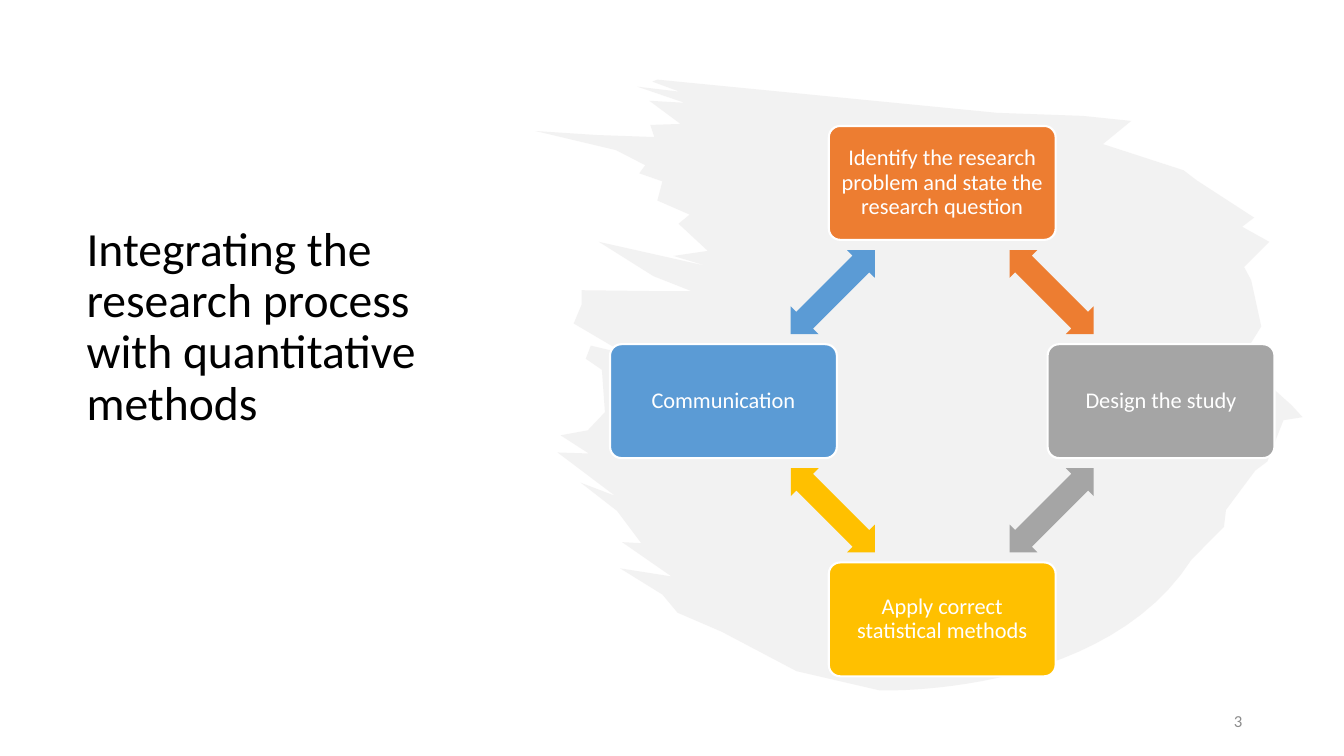
from dataclasses import dataclass
from math import cos, pi, sin

from lxml.etree import SubElement
from pptx import Presentation
from pptx.dml.color import RGBColor as RGB
from pptx.enum.shapes import MSO_SHAPE as SHAPE
from pptx.enum.text import MSO_ANCHOR as ANCHOR, PP_ALIGN as ALIGN
from pptx.oxml.ns import qn
from pptx.util import Inches, Pt


@dataclass(frozen=True)
class Theme:
    font: str = "Calibri"
    title_size: int = 34
    step_size: int = 16
    number_size: int = 12
    ink: str = "000000"
    white: str = "FFFFFF"
    number: str = "8C8C8C"
    brush: str = "E7E6E6"
    brush_alpha: int = 50


@dataclass(frozen=True)
class Box:
    left: float
    top: float
    width: float
    height: float

    def lengths(self):
        return [Inches(v) for v in (self.left, self.top, self.width, self.height)]


THEME = Theme()

# Clockwise from the top
STEPS = [
    ("Identify the research problem and state the research question", "ED7D31"),
    ("Design the study", "A5A5A5"),
    ("Apply correct statistical methods", "FFC000"),
    ("Communication", "5B9BD5"),
]

# Brush stroke in inches from its corner: the right edge runs down to the
# start of the bottom sweep, the ragged left edge runs back up from its end
RIGHT_EDGE = [
    (1.21, 0), (4.58, 0.33), (5.43, 0.36), (5.91, 0.41), (5.63, 0.64), (6.43, 0.9),
    (6.56, 1.0), (7.13, 1.37), (7.01, 1.46), (7.28, 1.61), (7.03, 1.86), (7.1, 1.99),
    (7.2, 2.45), (7.02, 2.74), (7.21, 2.92), (7.3, 3.05), (7.5, 3.23), (7.61, 3.35),
    (7.42, 3.38), (7.26, 3.79), (7.14, 3.88), (6.85, 4.27), (6.83, 4.44),
]
BOTTOM_SWEEP = [(6.51, 4.76), (5.68, 6.06), (3.64, 6.07), (3.41, 6.06)]
LEFT_EDGE = [
    (2.59, 5.87), (1.85, 5.48), (1.41, 5.29), (1.26, 5.11), (0.84, 4.85), (1.35, 4.93),
    (0.86, 4.59), (1.05, 4.6), (0.81, 4.28), (0.45, 4.0), (0.79, 4.13), (0.22, 3.7),
    (0.53, 3.71), (0.25, 3.53), (0.52, 3.48), (0.69, 3.3), (0.66, 2.88), (0.5, 2.77),
    (0.55, 2.64), (0.89, 2.72), (0.38, 2.42), (0.46, 2.23), (0.46, 2.09), (1.3, 2.1),
    (1.55, 2.1), (1.17, 1.95), (0.63, 1.61), (1.7, 1.85), (1.37, 1.75), (1.71, 1.7),
    (1.42, 1.43), (1.53, 1.34), (1.21, 1.2), (1.26, 1.01), (1.03, 0.93), (1.09, 0.85),
    (0.8, 0.7), (0, 0.51), (0.61, 0.55), (1.18, 0.57), (1.14, 0.45), (1.44, 0.44),
    (1.13, 0.21), (1.48, 0.23), (1.01, 0.07), (1.43, 0.12), (1.16, 0.02),
]


def curve(start, first, second, end, samples=24):
    """Sample a cubic Bézier curve."""
    for step in range(samples + 1):
        t = step / samples
        u = 1 - t
        yield tuple(u**3 * a + 3 * u * u * t * b + 3 * u * t * t * c + t**3 * d
                    for a, b, c, d in zip(start, first, second, end))


def paint(shape, color, outline=None):
    shape.shadow.inherit = False
    shape.fill.solid()
    shape.fill.fore_color.rgb = RGB.from_string(color)
    if outline:
        shape.line.color.rgb = RGB.from_string(outline)
        shape.line.width = Pt(1.5)
    else:
        shape.line.fill.background()


def write(shape, text, size, color, align=ALIGN.LEFT, anchor=ANCHOR.MIDDLE, spacing=0.9):
    frame = shape.text_frame
    frame.word_wrap = True
    frame.vertical_anchor = anchor
    frame.text = text
    paragraph = frame.paragraphs[0]
    paragraph.alignment = align
    paragraph.line_spacing = spacing
    paragraph.font.name = THEME.font
    paragraph.font.size = Pt(size)
    paragraph.font.color.rgb = RGB.from_string(color)
    return frame


def add_brush_stroke(slide, box):
    outline = [*RIGHT_EDGE, *curve(*BOTTOM_SWEEP), *LEFT_EDGE]
    points = [(Inches(x), Inches(y)) for x, y in outline]
    builder = slide.shapes.build_freeform(*points[0])
    builder.add_line_segments(points[1:], close=True)
    stroke = builder.convert_to_shape(Inches(box.left), Inches(box.top))
    stroke.width, stroke.height = Inches(box.width), Inches(box.height)
    paint(stroke, THEME.brush)
    color = stroke.fill._xPr.find(qn("a:solidFill"))[0]
    SubElement(color, qn("a:alpha")).set("val", str(THEME.brush_alpha * 1000))


def add_title(slide, box):
    write(slide.shapes.add_textbox(*box.lengths()),
          "Integrating the research process with quantitative methods",
          THEME.title_size, THEME.ink, anchor=ANCHOR.BOTTOM)


def add_cycle(slide, box, step_width=2.25, step_height=1.13,
              arrow_length=1.18, arrow_width=0.39):
    """Place the steps on a ring, each followed by a double arrow to the next."""
    center_x, center_y = box.left + box.width / 2, box.top + box.height / 2
    radius_x, radius_y = (box.width - step_width) / 2, (box.height - step_height) / 2

    def add_centered(kind, x, y, width, height):
        spot = Box(x - width / 2, y - height / 2, width, height)
        return slide.shapes.add_shape(kind, *spot.lengths())

    turn = 2 * pi / len(STEPS)
    spots = [(center_x + radius_x * sin(i * turn), center_y - radius_y * cos(i * turn))
             for i in range(len(STEPS))]
    for i, (text, color) in enumerate(STEPS):
        (x, y), (next_x, next_y) = spots[i], spots[(i + 1) % len(spots)]
        step = add_centered(SHAPE.ROUNDED_RECTANGLE, x, y, step_width, step_height)
        step.adjustments[0] = 0.1
        paint(step, color, THEME.white)
        frame = write(step, text, THEME.step_size, THEME.white, ALIGN.CENTER)
        frame.margin_left = frame.margin_right = Inches(0.07)
        frame.margin_top = frame.margin_bottom = Inches(0.07)

        arrow = add_centered(SHAPE.LEFT_RIGHT_ARROW, (x + next_x) / 2, (y + next_y) / 2,
                             arrow_length, arrow_width)
        arrow.adjustments[0], arrow.adjustments[1] = 0.6, 0.5
        arrow.rotation = 45 + 90 * i
        paint(arrow, color)


def add_slide_number(slide, box):
    write(slide.shapes.add_textbox(*box.lengths()), "3",
          THEME.number_size, THEME.number, ALIGN.RIGHT, spacing=1.0)


def main():
    deck = Presentation()
    deck.slide_width, deck.slide_height = Inches(13.33), Inches(7.5)
    slide = deck.slides.add_slide(deck.slide_layouts[6])
    add_brush_stroke(slide, Box(5.31, 0.79, 7.61, 6.06))
    add_title(slide, Box(0.76, 2.54, 4.35, 1.78))
    add_cycle(slide, Box(6.05, 1.25, 6.59, 5.46))
    add_slide_number(slide, Box(9.42, 6.95, 3, 0.4))
    deck.save("out.pptx")


if __name__ == "__main__":
    main()
